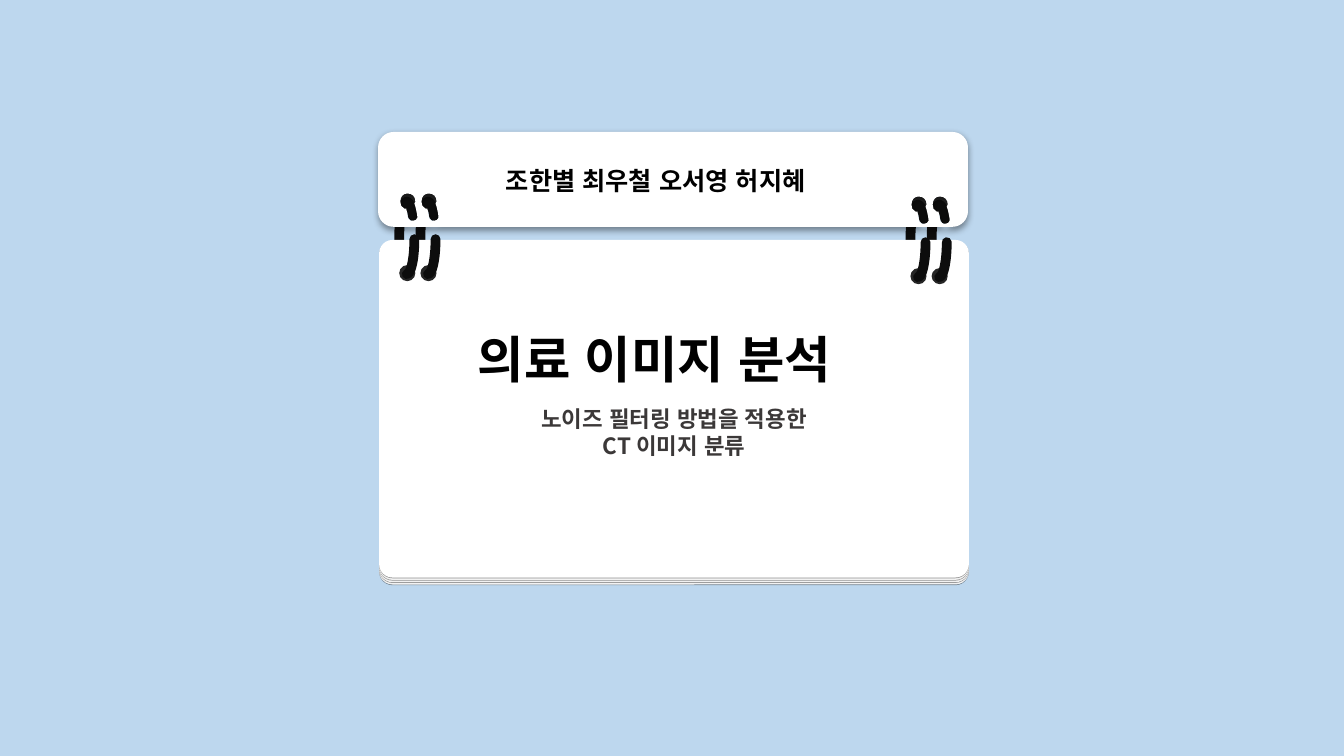
"""Build the notebook-style cover slide of a medical image analysis talk."""
import pptx
import pptx.dml.color
import pptx.enum.shapes
import pptx.enum.text
import pptx.oxml.ns
import pptx.util
from lxml import etree

FONT = "Noto Sans CJK KR"
COLORS = {"sky": "BDD7EE", "white": "FFFFFF", "page": "F2F2F2", "hole": "262626",
          "ring": "0D0D0D", "black": "000000", "gray": "3B3838"}
ALIGN = pptx.enum.text.PP_ALIGN
NAMES = [("조한별 최우철 오서영 허지혜", 18, "black", ALIGN.LEFT, 0)]
HEADING = [("의료 이미지 분석", 36, "black", ALIGN.LEFT, 0),
           ("노이즈 필터링 방법을 적용한", 16, "gray", ALIGN.CENTER, 12),
           ("CT 이미지 분류", 16, "gray", ALIGN.CENTER, 0)]

COVER = (3.75, 1.31, 5.85, 0.94)
PAGE = (3.76, 2.38, 5.85, 3.35)
PAGE_STEP = 0.023
PAGE_COLORS = ["page", "page", "page", "white"]
HOLE = 0.16
RING = (0.15, 0.69)
PAIR_GAP = 0.21
PAIRS = [(3.96, 0), (9.03, 0.03)]
RINGS = [(x + i * PAIR_GAP, dy) for x, dy in PAIRS for i in range(2)]
SHADES = [(-0.2, 2.72, 0.37, 0.18, 1), (-0.05, 2.7, 0.17, 0.18, 0.74)]
KEYHOLE = [
    [(0.07, 0)],
    [(0.03, 0), (0, 0.03), (0, 0.08)],
    [(0, 0.11), (0.01, 0.14), (0.04, 0.15)],
    [(0.06, 0.15)],
    [(0.06, 0.16)],
    [(0.07, 0.18), (0.07, 0.23), (0.08, 0.25)],
    [(0.09, 0.27), (0.12, 0.28), (0.13, 0.27)],
    [(0.14, 0.27), (0.17, 0.26), (0.17, 0.24)],
    [(0.17, 0.22), (0.16, 0.17), (0.15, 0.13)],
    [(0.14, 0.1)],
    [(0.15, 0.08)],
    [(0.15, 0.03), (0.12, 0), (0.07, 0)],
]
W, H, R, K = COVER[2], COVER[3], 0.15, 0.07
BAND = [
    [(R, 0)],
    [(W - R, 0)],
    [(W - K, 0), (W, K), (W, R)],
    [(W, H - R)],
    [(W, H - K), (W - K, H), (W - R, H)],
    [(R, H)],
    [(K, H), (0, H - K), (0, H - R)],
    [(0, R)],
    [(0, K), (K, 0), (R, 0)],
]

Inches = pptx.util.Inches
Pt = pptx.util.Pt
MSO = pptx.enum.shapes.MSO_SHAPE
qn = pptx.oxml.ns.qn


def rgb(name):
    return pptx.dml.color.RGBColor.from_string(COLORS[name])


def paint(sp, color):
    sp.shadow.inherit = False
    sp.fill.solid()
    sp.fill.fore_color.rgb = rgb(color)
    sp.line.fill.background()


def add_shadow(sp, blur, dist):
    effects = sp.element.spPr.find(qn("a:effectLst"))
    shadow = etree.SubElement(effects, qn("a:outerShdw"), blurRad=str(Pt(blur)),
                              dist=str(Pt(dist)), dir="5400000", algn="t", rotWithShape="0")
    color = etree.SubElement(shadow, qn("a:srgbClr"), val=COLORS["black"])
    etree.SubElement(color, qn("a:alpha"), val="40000")


def add_shape(slide, kind, box, color):
    sp = slide.shapes.add_shape(kind, *map(Inches, box))
    paint(sp, color)
    return sp


def add_arc(slide, x, y, end, flips):
    sp = slide.shapes.add_shape(MSO.ARC, *map(Inches, (x, y, *RING)))
    sp.shadow.inherit = False
    sp.fill.background()
    sp.line.color.rgb = rgb("ring")
    sp.line.width = Pt(7)
    sp.line._get_or_add_ln().set("cap", "rnd")
    sp.adjustments[0], sp.adjustments[1] = 162, end
    for flip in flips:
        sp.element.spPr.find(qn("a:xfrm")).set(flip, "1")


def add_shade(slide, box, last_stop):
    sp = add_shape(slide, MSO.ROUNDED_RECTANGLE, box, "black")
    sp.adjustments[0] = 0.5
    sp.rotation = 315
    sp.fill.gradient()
    sp.fill.gradient_angle = 0
    stops = list(sp.fill.gradient_stops)
    for stop, position, alpha in zip(stops, (0, last_stop), (0, 62000)):
        stop.position = position
        stop.color.rgb = rgb("black")
    for color, alpha in zip(sp.element.spPr.iter(qn("a:srgbClr")), (0, 62000)):
        etree.SubElement(color, qn("a:alpha"), val=str(alpha))
    effects = sp.element.spPr.find(qn("a:effectLst"))
    etree.SubElement(effects, qn("a:softEdge"), rad=str(Pt(10)))


def add_cover(slide):
    contours = [(BAND, *COVER[:2])]
    contours += [(KEYHOLE, x + 0.01, 1.92 + dy) for x, dy in RINGS]
    builder = slide.shapes.build_freeform()
    for segments, left, top in contours:
        points = [(Inches(left + x), Inches(top + y)) for s in segments for x, y in s]
        if segments is BAND:
            builder = slide.shapes.build_freeform(*points[0])
        else:
            builder.move_to(*points[0])
        builder.add_line_segments(points[1:], close=True)
    sp = builder.convert_to_shape()
    lines = iter(list(sp.element.spPr.iter(qn("a:lnTo"))))
    for segments, left, top in contours:
        for segment in segments[1:]:
            first = next(lines)
            if len(segment) == 3:
                first.tag_name = None
                curve = etree.Element(qn("a:cubicBezTo"))
                first.addprevious(curve)
                for line in (first, next(lines), next(lines)):
                    curve.append(line[0])
                    line.getparent().remove(line)
    paint(sp, "white")
    add_shadow(sp, 5, 2)


def write(sp, box, lines):
    sp.left, sp.top, sp.width, sp.height = map(Inches, box)
    tf = sp.text_frame
    tf.word_wrap = False
    tf.auto_size = pptx.enum.text.MSO_AUTO_SIZE.SHAPE_TO_FIT_TEXT
    tf.vertical_anchor = pptx.enum.text.MSO_ANCHOR.TOP
    for i, (line, size, color, align, before) in enumerate(lines):
        p = tf.add_paragraph() if i else tf.paragraphs[0]
        p.alignment = align
        p.space_before = Pt(before)
        r = p.add_run()
        r.text = line
        r.font.name = FONT
        r.font.size = Pt(size)
        r.font.bold = True
        r.font.color.rgb = rgb(color)
        r.font.language_id = pptx.enum.lang.MSO_LANGUAGE_ID.KOREAN
        etree.SubElement(r.font._element, qn("a:ea"), typeface=FONT)


def main():
    prs = pptx.Presentation()
    prs.slide_width, prs.slide_height = Inches(13.33), Inches(7.5)
    slide = prs.slides.add_slide(prs.slide_layouts[5])
    slide.background.fill.solid()
    slide.background.fill.fore_color.rgb = rgb("sky")

    for x, dy in RINGS:
        add_shape(slide, MSO.OVAL, (x + 0.01, 1.91 + dy, HOLE, HOLE), "hole")
        add_arc(slide, x, 2 + dy, 64.23, ["flipH", "flipV"])

    x, y, w, h = PAGE
    for depth, color in zip(reversed(range(len(PAGE_COLORS))), PAGE_COLORS):
        sp = add_shape(slide, MSO.ROUND_2_SAME_RECTANGLE,
                       (x, y + depth * PAGE_STEP, w, h), color)
        sp.adjustments[0], sp.adjustments[1] = 0.04, 0.04
        add_shadow(sp, 0, 0.5)

    for x, dy in RINGS:
        add_shape(slide, MSO.OVAL, (x, 2.63 + dy, HOLE, HOLE), "hole")
        for dx, top, w, h, last_stop in SHADES:
            add_shade(slide, (x + dx, top + dy, w, h), last_stop)
        add_arc(slide, x, 2.03 + dy, 1.04, ["flipV"])
    add_cover(slide)

    write(slide.shapes.add_textbox(0, 0, 0, 0), (4.92, 1.59, 3.5, 0.4), NAMES)
    title = slide.shapes.title
    write(title, (4.64, 3.2, 4.09, 1.72), HEADING)
    slide.shapes._spTree.append(title.element)
    prs.save("out.pptx")


if __name__ == "__main__":
    main()
